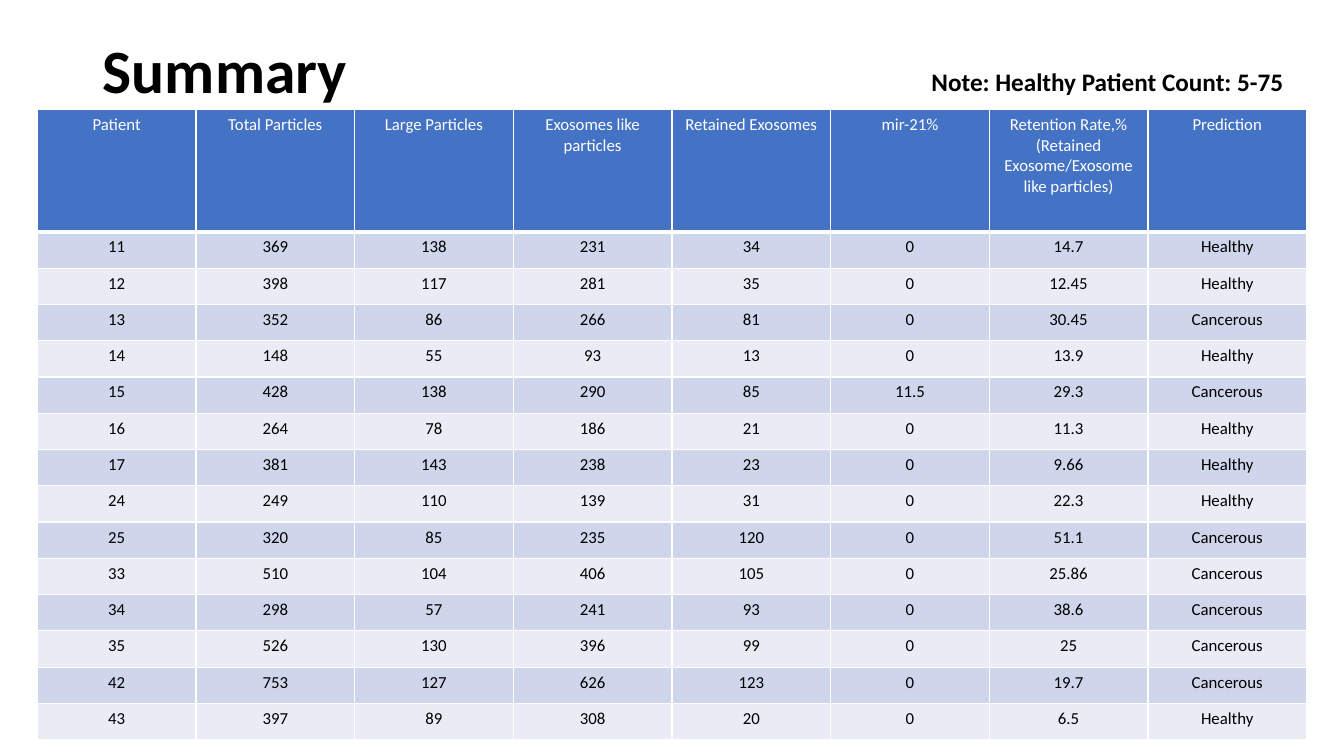
from lxml.etree import SubElement
from pptx import Presentation
from pptx.dml.color import RGBColor
from pptx.enum.text import MSO_ANCHOR, MSO_AUTO_SIZE, PP_ALIGN
from pptx.oxml.ns import qn
from pptx.util import Inches, Pt

BLACK = RGBColor(0x00, 0x00, 0x00)
WHITE = RGBColor(0xFF, 0xFF, 0xFF)
BLUE = RGBColor(0x44, 0x72, 0xC4)
BAND_DARK = RGBColor(0xCF, 0xD5, 0xEA)
BAND_LIGHT = RGBColor(0xE9, 0xEB, 0xF5)

HEADERS = ["Patient", "Total Particles", "Large Particles", "Exosomes like particles",
           "Retained Exosomes", "mir-21%",
           "Retention Rate,% (Retained Exosome/Exosome like particles)", "Prediction"]
PATIENTS = [
    (11, 369, 138, 231, 34, 0, 14.7, "Healthy"),
    (12, 398, 117, 281, 35, 0, 12.45, "Healthy"),
    (13, 352, 86, 266, 81, 0, 30.45, "Cancerous"),
    (14, 148, 55, 93, 13, 0, 13.9, "Healthy"),
    (15, 428, 138, 290, 85, 11.5, 29.3, "Cancerous"),
    (16, 264, 78, 186, 21, 0, 11.3, "Healthy"),
    (17, 381, 143, 238, 23, 0, 9.66, "Healthy"),
    (24, 249, 110, 139, 31, 0, 22.3, "Healthy"),
    (25, 320, 85, 235, 120, 0, 51.1, "Cancerous"),
    (33, 510, 104, 406, 105, 0, 25.86, "Cancerous"),
    (34, 298, 57, 241, 93, 0, 38.6, "Cancerous"),
    (35, 526, 130, 396, 99, 0, 25, "Cancerous"),
    (42, 753, 127, 626, 123, 0, 19.7, "Cancerous"),
    (43, 397, 89, 308, 20, 0, 6.5, "Healthy"),
]


def add_run(p, text, size, color, bold):
    r = p.add_run()
    r.text = text
    r.font.name = "Calibri"
    r.font.size = Pt(size)
    r.font.color.rgb = color
    r.font.bold = bold


def set_borders(cell, widths):
    tcPr = cell._tc.get_or_add_tcPr()
    for i, (side, width) in enumerate(widths.items()):
        ln = SubElement(tcPr, qn(f"a:{side}"), w=str(Pt(width)))
        fill = SubElement(ln, qn("a:solidFill"))
        SubElement(fill, qn("a:srgbClr"), val=str(WHITE))
        # Borders come before the cell fill in the schema
        tcPr.insert(i, ln)


prs = Presentation()
prs.slide_width, prs.slide_height = Inches(13.33), Inches(7.5)
s = prs.slides.add_slide(prs.slide_layouts[5])

# Title
title = s.shapes.title
title.left, title.top = Inches(0.92), Inches(0)
title.width, title.height = Inches(11.5), Inches(1.45)
tf = title.text_frame
tf.vertical_anchor = MSO_ANCHOR.MIDDLE
p = tf.paragraphs[0]
p.alignment = PP_ALIGN.LEFT
p.line_spacing = 0.9
add_run(p, "Summary", 44, BLACK, True)

# Patient table
rows = [HEADERS] + PATIENTS
table = s.shapes.add_table(len(rows), len(HEADERS), Inches(0.37), Inches(1.09),
                           Inches(12.59), Inches(6.24)).table
for i, values in enumerate(rows):
    header = i == 0
    table.rows[i].height = Inches(1.21 if header else 0.36)
    widths = {"lnL": 1, "lnR": 1, "lnT": 3 if i == 1 else 1, "lnB": 3 if header else 1}
    for j, value in enumerate(values):
        cell = table.cell(i, j)
        cell.fill.solid()
        cell.fill.fore_color.rgb = BLUE if header else BAND_DARK if i % 2 else BAND_LIGHT
        set_borders(cell, widths)
        p = cell.text_frame.paragraphs[0]
        p.alignment = PP_ALIGN.CENTER
        add_run(p, str(value), 12, WHITE if header else BLACK, False)

# Note on the healthy range
note = s.shapes.add_textbox(Inches(9.14), Inches(0.61), Inches(5.16), Inches(0.4))
tf = note.text_frame
tf.word_wrap = True
tf.auto_size = MSO_AUTO_SIZE.SHAPE_TO_FIT_TEXT
add_run(tf.paragraphs[0], "Note: Healthy Patient Count: 5-75", 18, BLACK, True)

prs.save("out.pptx")
